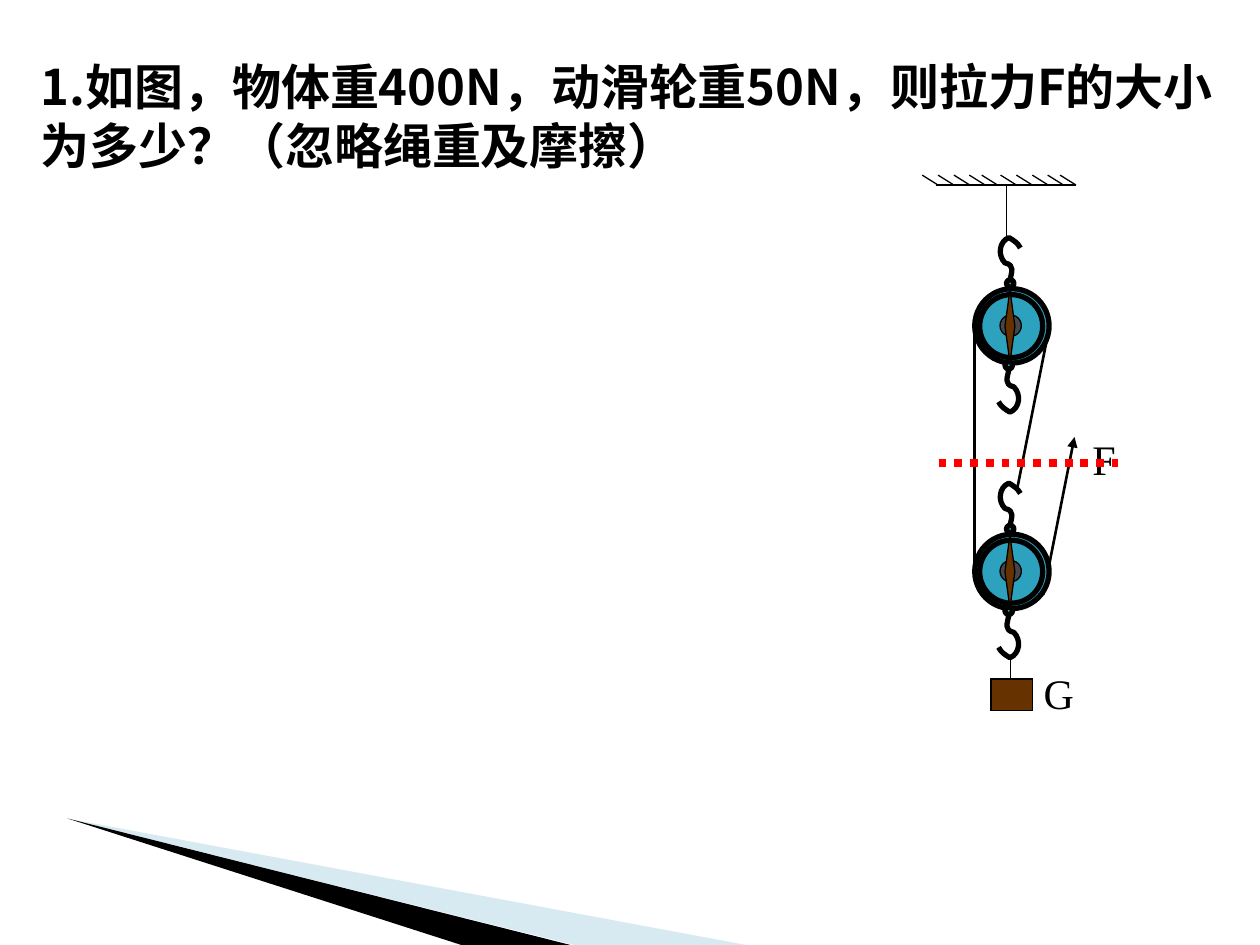
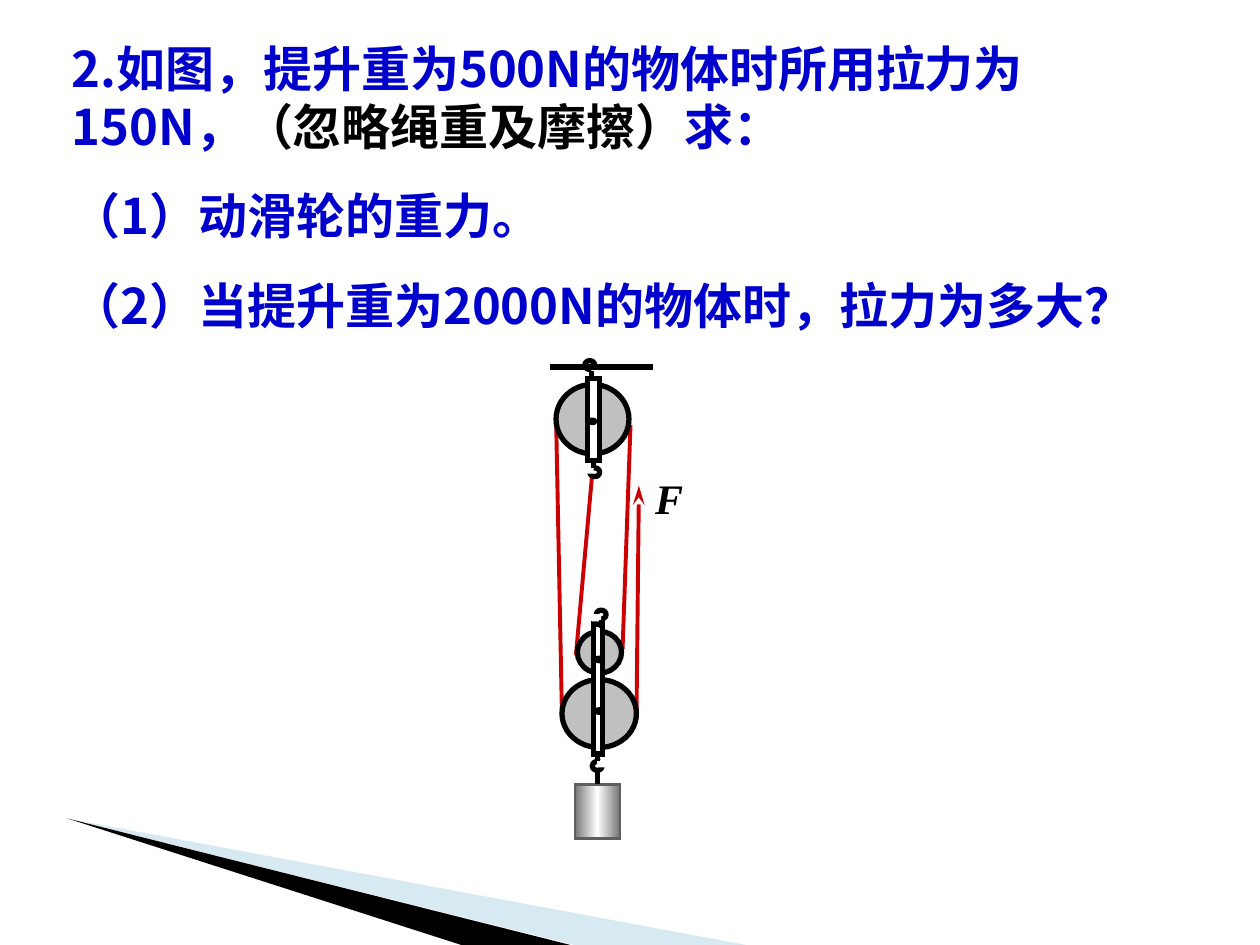
from copy import deepcopy
from dataclasses import dataclass

from pptx import Presentation
from pptx.dml.color import RGBColor
from pptx.enum.dml import MSO_LINE
from pptx.enum.shapes import MSO_CONNECTOR, MSO_SHAPE
from pptx.oxml.ns import qn
from pptx.util import Cm, Pt
from lxml.etree import SubElement


@dataclass(frozen=True)
class Theme:
    black: str = "000000"
    white: str = "FFFFFF"
    band: str = "9FCBDC"
    question_blue: str = "0000CC"
    wheel_teal: str = "2DA2BF"
    hub: str = "464646"
    wood: str = "663300"
    cut_red: str = "FF0000"
    rope_red: str = "CC0000"
    wheel_gray: str = "C0C0C0"
    cream: str = "FFFFCC"
    metal: str = "767676"
    metal_edge: str = "5F5F5F"
    question_font: str = "Noto Sans CJK SC"
    label_font: str = "Times New Roman"
    question_size: int = 28
    label_size: int = 24
    line_height: float = 33.4
    paragraph_gap: float = 17.5
    thin: float = 0.75
    rope: float = 1.5
    red_rope: float = 2.25
    thick: float = 3
    cut: float = 4.5


THEME = Theme()


def rgb(color):
    return RGBColor.from_string(color)


@dataclass
class Region:
    """An area of a slide; its parts are placed in cm from its top left corner."""

    slide: object
    left: float = 0
    top: float = 0

    def inner(self, x, y):
        return Region(self.slide, self.left + x, self.top + y)

    def point(self, x, y):
        return Cm(self.left + x), Cm(self.top + y)

    def shape(self, kind, x, y, width, height, fill, line=THEME.thick, line_color=THEME.black):
        shape = self.slide.shapes.add_shape(kind, *self.point(x, y), Cm(width), Cm(height))
        paint(shape, fill, line, line_color)
        return shape

    def ellipse(self, *box, **style):
        return self.shape(MSO_SHAPE.OVAL, *box, **style)

    def rectangle(self, *box, **style):
        shape = self.shape(MSO_SHAPE.RECTANGLE, *box, **style)
        SubElement(shape._element.spPr.find(qn("a:ln")), qn("a:miter"), lim="800000")
        return shape

    def outline(self, points, fill=None, line=None, close=True):
        corners = [self.point(*point) for point in points]
        builder = self.slide.shapes.build_freeform(*corners[0])
        builder.add_line_segments(corners[1:], close=close)
        shape = builder.convert_to_shape()
        paint(shape, fill, line)
        return shape

    def curve(self, controls, line):
        """Joined cubic curves: a start, then three controls per curve."""
        shape = self.outline(controls, line=line, close=False)
        segments = list(shape._element.iter(qn("a:lnTo")))
        for first in range(0, len(segments), 3):
            bezier = SubElement(segments[first].getparent(), qn("a:cubicBezTo"))
            for segment in segments[first:first + 3]:
                bezier.append(segment[0])
                segment.getparent().remove(segment)

    def line(self, start, end, width, color=THEME.black, arrow=None, dash=None):
        """A straight line; arrow is the kind and length of the head at its end."""
        connector = self.slide.shapes.add_connector(
            MSO_CONNECTOR.STRAIGHT, *self.point(*start), *self.point(*end))
        connector.line.color.rgb = rgb(color)
        connector.line.width = Pt(width)
        if dash:
            connector.line.dash_style = dash
        properties = connector._element.spPr
        if arrow:
            kind, length = arrow
            SubElement(properties.find(qn("a:ln")), qn("a:tailEnd"), type=kind, len=length)
        SubElement(properties, qn("a:effectLst"))

    def text_frame(self, x, y, width, height):
        text_box = self.slide.shapes.add_textbox(*self.point(x, y), Cm(width), Cm(height))
        text_box.text_frame.word_wrap = True
        return text_box.text_frame

    def label(self, text, x, y, width=1.27, emphasis=False):
        frame = self.text_frame(x, y, width, 1.27)
        frame.text = text
        format_run(frame.paragraphs[0].runs[0], THEME.label_font, THEME.label_size,
                   THEME.black, bold=emphasis, italic=emphasis)


def paint(shape, fill, line, line_color=THEME.black):
    shape.shadow.inherit = False
    if fill:
        shape.fill.solid()
        shape.fill.fore_color.rgb = rgb(fill)
    else:
        shape.fill.background()
    if line:
        shape.line.color.rgb = rgb(line_color)
        shape.line.width = Pt(line)
    else:
        shape.line.fill.background()


def format_run(run, font, size, color, bold=True, italic=False):
    run.font.name = font
    run.font.size = Pt(size)
    run.font.color.rgb = rgb(color)
    run.font.bold = bold
    run.font.italic = italic
    SubElement(run._r.get_or_add_rPr(), qn("a:ea"), typeface=font)


def draw_corner_wedges(slide):
    region = Region(slide, 1.36, 16.5)
    light = region.outline([(0.04, 0.01), (13.68, 2.55), (10.22, 2.55)], THEME.band)
    color = light._element.spPr.find(qn("a:solidFill")).find(qn("a:srgbClr"))
    SubElement(color, qn("a:alpha"), val="40000")
    region.outline([(0, 0), (10.14, 2.55), (7.94, 2.55)], THEME.black)


def write_question(region, width, height, paragraphs):
    """Each paragraph is a list of (text, colour) pairs."""
    frame = region.text_frame(0, 0, width, height)
    for index, parts in enumerate(paragraphs):
        paragraph = frame.add_paragraph() if index else frame.paragraphs[0]
        paragraph.line_spacing = Pt(THEME.line_height)
        if index:
            paragraph.space_before = Pt(THEME.paragraph_gap)
        for text, color in parts:
            run = paragraph.add_run()
            run.text = text
            format_run(run, THEME.question_font, THEME.question_size, color)


def draw_teal_pulley(region):
    for x, y, size in ((0, 1.02, 1.5), (0.1, 1.14, 1.27)):
        region.ellipse(x, y, size, size, fill=THEME.wheel_teal)
    region.ellipse(0.51, 1.55, 0.43, 0.43, fill=THEME.hub, line=THEME.thin)
    region.shape(MSO_SHAPE.DIAMOND, 0.61, 1.04, 0.2, 1.47, fill=THEME.wood, line=THEME.thin)
    for x, y in ((0.61, 2.49), (0.64, 0.84)):
        region.ellipse(x, y, 0.15, 0.15, fill=THEME.wheel_teal)
    lower_hook = [
        (0.69, 2.64), (0.66, 2.82), (0.58, 2.95), (0.79, 3), (0.94, 3.15),
        (0.91, 3.43), (0.71, 3.51), (0.61, 3.45), (0.53, 3.4), (0.48, 3.3)]
    upper_hook = [(1.4 - x, 3.5 - y) for x, y in lower_hook]
    for hook in (lower_hook, upper_hook):
        region.curve(hook, THEME.thick)


def draw_hatched_ceiling(region):
    for group in (0, 1.58):
        for offset in (0, 0.32, 0.64, 0.95, 1.2):
            x = group + offset
            region.line((x + 0.32, 0.2), (x, 0), THEME.thin)
    region.line((0.28, 0.2), (3.1, 0.2), THEME.thin)


def draw_teal_tackle(region):
    region.line((1.06, 2.95), (1.06, 8.03), THEME.rope)
    region.line((1.91, 6.35), (2.54, 3.18), THEME.rope)
    region.line((2.44, 8.46), (3.07, 5.28), THEME.rope, arrow=("triangle", "med"))
    region.label("F", 3.18, 5.08)
    for top in (1.27, 6.22):
        draw_teal_pulley(region.inner(1.06, top))
    draw_hatched_ceiling(region)
    region.line((1.7, 0.2), (1.7, 1.27), THEME.thin)
    region.rectangle(1.39, 10.16, 0.84, 0.64, fill=THEME.wood, line=THEME.thin)
    region.line((1.78, 9.73), (1.78, 10.16), THEME.thin)
    region.label("G", 2.2, 9.8)
    region.line((0.33, 5.81), (3.94, 5.81), THEME.cut, THEME.cut_red, dash=MSO_LINE.ROUND_DOT)


def draw_ring_hook(region, cover, stem, points_up, fill=THEME.white):
    """A ring, a patch that covers the side at cover, and a stem at stem."""
    region.ellipse(0, 0, 0.2, 0.18, fill=fill)
    region.rectangle(cover, 0.08 if points_up else -0.03, 0.18, 0.15,
                     fill=THEME.white, line=None)
    start, end = (0.2, 0.35) if points_up else (0, -0.15)
    region.line((stem, start), (stem, end), THEME.thick)


def draw_metal_load(region):
    load = region.rectangle(0, 0, 0.91, 1.09, fill=THEME.metal,
                            line=THEME.rope, line_color=THEME.metal_edge)
    load.fill.gradient()
    load.fill.gradient_angle = 0
    stops = load._element.spPr.find(qn("a:gradFill")).find(qn("a:gsLst"))
    stops.insert(1, deepcopy(stops[0]))
    for stop, position, color in zip(load.fill.gradient_stops, (0, 0.5, 1),
                                     (THEME.metal, THEME.white, THEME.metal)):
        stop.position = position
        stop.color.rgb = rgb(color)


def draw_movable_pulleys(region):
    region.ellipse(0.31, 0.43, 0.89, 0.84, fill=THEME.wheel_gray)
    region.ellipse(0, 1.4, 1.5, 1.37, fill=THEME.wheel_gray)
    region.rectangle(0.64, 0.28, 0.18, 2.62, fill=THEME.white)
    draw_ring_hook(region.inner(0.61, 3.05), 0.1, 0.1, points_up=False)
    draw_ring_hook(region.inner(0.69, 0), -0.08, 0.1, points_up=True)
    for y in (2.01, 0.97):
        region.ellipse(0.69, y, 0.13, 0.05, fill=THEME.black)


def draw_fixed_pulley(region):
    region.ellipse(0, 0.48, 1.47, 1.4, fill=THEME.wheel_gray)
    region.rectangle(0.63, 0.36, 0.25, 1.65, fill=THEME.white)
    draw_ring_hook(region.inner(0.58, 0), 0.13, 0.13, points_up=True, fill=THEME.cream)
    region.line((0.76, 2.54), (0.76, 2.54), THEME.thick)
    draw_ring_hook(region.inner(0.68, 2.16), -0.1, 0.08, points_up=False)
    region.ellipse(0.68, 1.2, 0.1, 0.05, fill=THEME.black)


def draw_gray_tackle(region):
    region.label("F", 1.88, 2.19, width=2.67, emphasis=True)
    draw_metal_load(region.inner(0.51, 8.59))
    region.line((0.97, 8.31), (0.97, 8.59), THEME.thick)
    for start, end, arrow in (
            ((0.25, 7.29), (0.13, 1.22), None),
            ((1.75, 7.29), (1.8, 2.57), ("stealth", "lg")),
            ((0.86, 2.31), (0.53, 5.99), None),
            ((1.63, 1.35), (1.47, 5.87), None)):
        region.line(start, end, THEME.red_rope, THEME.rope_red, arrow)
    draw_movable_pulleys(region.inner(0.25, 5.08))
    draw_fixed_pulley(region.inner(0.13, 0.05))
    region.line((0, 0.18), (2.08, 0.18), THEME.thick)


def add_slide(presentation):
    slide = presentation.slides.add_slide(presentation.slide_layouts[6])
    draw_corner_wedges(slide)
    return slide


def build_pull_force_slide(presentation):
    slide = add_slide(presentation)
    write_question(Region(slide, 0.57, 1.03), 24.38, 2.64, [
        [("1.如图，物体重400N，动滑轮重50N，则拉力F的大小为多少？（忽略绳重及摩擦）", THEME.black)]])
    draw_teal_tackle(Region(slide, 18.59, 3.53))


def build_pulley_weight_slide(presentation):
    slide = add_slide(presentation)
    blue = THEME.question_blue
    write_question(Region(slide, 1.2, 0.66), 23.14, 6.25, [
        [("2.如图，提升重为500N的物体时所用拉力为150N，", blue),
         ("（忽略绳重及摩擦）", THEME.black), ("求：", blue)],
        [("（1）动滑轮的重力。", blue)],
        [("（2）当提升重为2000N的物体时，拉力为多大？", blue)]])
    draw_gray_tackle(Region(slide, 11.08, 7.22))


def main():
    presentation = Presentation()
    presentation.slide_width = Cm(25.4)
    presentation.slide_height = Cm(19.05)
    build_pull_force_slide(presentation)
    build_pulley_weight_slide(presentation)
    presentation.save("out.pptx")


if __name__ == "__main__":
    main()
